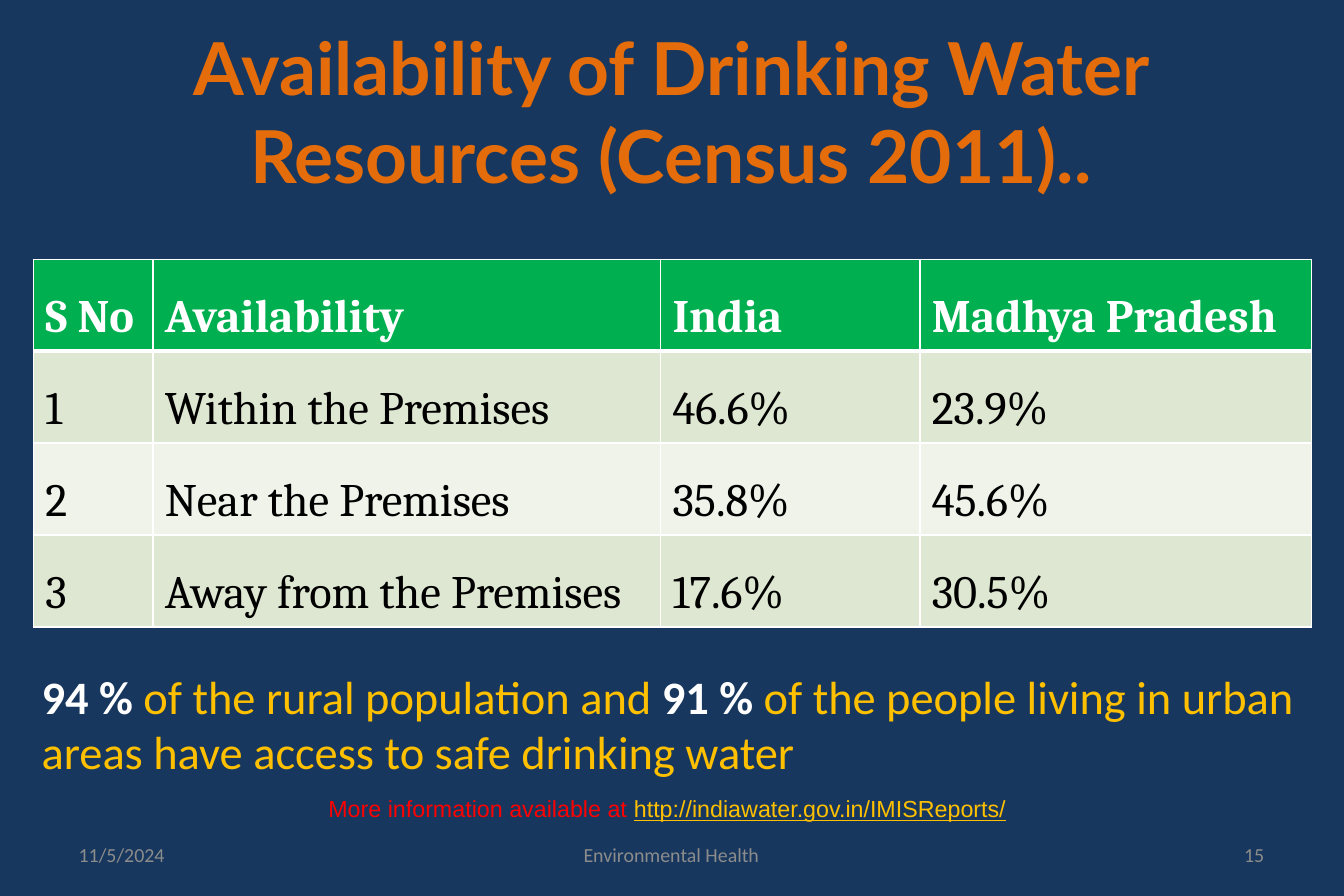
"""Build the slide on availability of drinking water resources."""
from lxml.etree import SubElement
from pptx import Presentation
from pptx.dml.color import RGBColor
from pptx.enum.text import MSO_ANCHOR, MSO_AUTO_SIZE, PP_ALIGN
from pptx.oxml.ns import qn
from pptx.util import Inches, Pt

WHITE, GOLD, RED, GREY = "FFFFFF", "FFC000", "FF0000", "8C8C8C"
HEADER_FILL, BAND_FILLS = "00B050", ("DEE7D1", "EFF3EA")


def color(hex_value):
    return RGBColor.from_string(hex_value)


class SlideBuilder:
    def __init__(self, presentation, background):
        self.slide = presentation.slides.add_slide(presentation.slide_layouts[5])
        self.slide.background.fill.solid()
        self.slide.background.fill.fore_color.rgb = color(background)

    def add_runs(self, paragraph, runs, **base):
        for text, changes in runs:
            run = paragraph.add_run()
            run.text = text
            style = {**base, **changes}
            run.font.color.rgb = color(style.pop("color"))
            style["size"] = Pt(style["size"])
            for attribute, value in style.items():
                setattr(run.font, attribute, value)

    def place(self, shape, box):
        for attribute, value in zip(("left", "top", "width", "height"), box):
            setattr(shape, attribute, Inches(value))

    def title(self, text, box, **style):
        heading = self.slide.shapes.title
        self.place(heading, box)
        frame = heading.text_frame
        frame.auto_size = MSO_AUTO_SIZE.NONE
        frame.vertical_anchor = MSO_ANCHOR.MIDDLE
        frame.paragraphs[0].alignment = PP_ALIGN.CENTER
        self.add_runs(frame.paragraphs[0], [(text, {})], **style)

    def text(self, runs, box, align=PP_ALIGN.LEFT, anchor=MSO_ANCHOR.TOP,
             wrap=True, **style):
        frame = self.slide.shapes.add_textbox(*map(Inches, box)).text_frame
        frame.word_wrap = wrap
        frame.vertical_anchor = anchor
        frame.paragraphs[0].alignment = align
        self.add_runs(frame.paragraphs[0], runs, **style)

    def borders(self, cell, widths):
        properties = cell._tc.get_or_add_tcPr()
        for side, width in widths.items():
            line = SubElement(properties, qn(f"a:ln{side}"), w=str(Pt(width)))
            fill = SubElement(line, qn("a:solidFill"))
            SubElement(fill, qn("a:srgbClr"), val=WHITE)

    def table(self, rows, widths, left, top, row_height, **style):
        grid = self.slide.shapes.add_table(
            len(rows), len(widths), Inches(left), Inches(top),
            Inches(sum(widths)), Inches(row_height * len(rows))).table
        for column, width in zip(grid.columns, widths):
            column.width = Inches(width)
        for row_index, values in enumerate(rows):
            header = row_index == 0
            fill = HEADER_FILL if header else BAND_FILLS[(row_index - 1) % 2]
            grid.rows[row_index].height = Inches(row_height)
            for column_index, value in enumerate(values):
                cell = grid.cell(row_index, column_index)
                cell.margin_top = cell.margin_bottom = Inches(0.04)
                self.borders(cell, {"L": 1, "R": 1, "T": 3 if row_index == 1 else 1,
                                    "B": 3 if header else 1})
                cell.fill.solid()
                cell.fill.fore_color.rgb = color(fill)
                paragraph = cell.text_frame.paragraphs[0]
                paragraph.line_spacing = 1.5
                self.add_runs(paragraph, [(value, {})], bold=header,
                              color=WHITE if header else "000000", **style)


def main():
    presentation = Presentation()
    presentation.slide_width = Inches(11.25)
    presentation.slide_height = Inches(7.5)
    builder = SlideBuilder(presentation, "17375E")

    builder.title("Availability of Drinking Water Resources (Census 2011)..",
                  (0.56, 0.3, 10.12, 1.25),
                  name="Lato", size=44, bold=True, color="E46C0A")

    availability = [
        ("S No", "Availability", "India", "Madhya Pradesh"),
        ("1", "Within the Premises", "46.6%", "23.9%"),
        ("2", "Near the Premises", "35.8%", "45.6%"),
        ("3", "Away from the Premises", "17.6%", "30.5%"),
    ]
    builder.table(availability, (1, 4.25, 2.17, 3.28), 0.28, 2.17, 0.77,
                  name="Cambria", size=28)

    figure = {"color": WHITE, "bold": True}
    builder.text([("94 %", figure), (" of the rural population and ", {}),
                  ("91 %", figure),
                  (" of the people living in urban areas have access to safe "
                   "drinking water", {})],
                 (0.25, 5.54, 10.75, 1.04), name="Calibri", size=28, color=GOLD)
    builder.text([("More information available at ", {}),
                  ("http://indiawater.gov.in/IMISReports/",
                   {"color": GOLD, "underline": True})],
                 (2.65, 6.6, 5.95, 0.34), wrap=False,
                 name="Arial", size=14, color=RED)

    footers = [
        ("11/5/2024", 0.56, 2.62, PP_ALIGN.LEFT),
        ("Environmental Health", 3.84, 3.56, PP_ALIGN.CENTER),
        ("15", 8.06, 2.62, PP_ALIGN.RIGHT),
    ]
    for footer, left, width, align in footers:
        builder.text([(footer, {})], (left, 6.95, width, 0.4), align,
                     MSO_ANCHOR.MIDDLE, name="Calibri", size=12, color=GREY)

    presentation.save("out.pptx")


if __name__ == "__main__":
    main()
